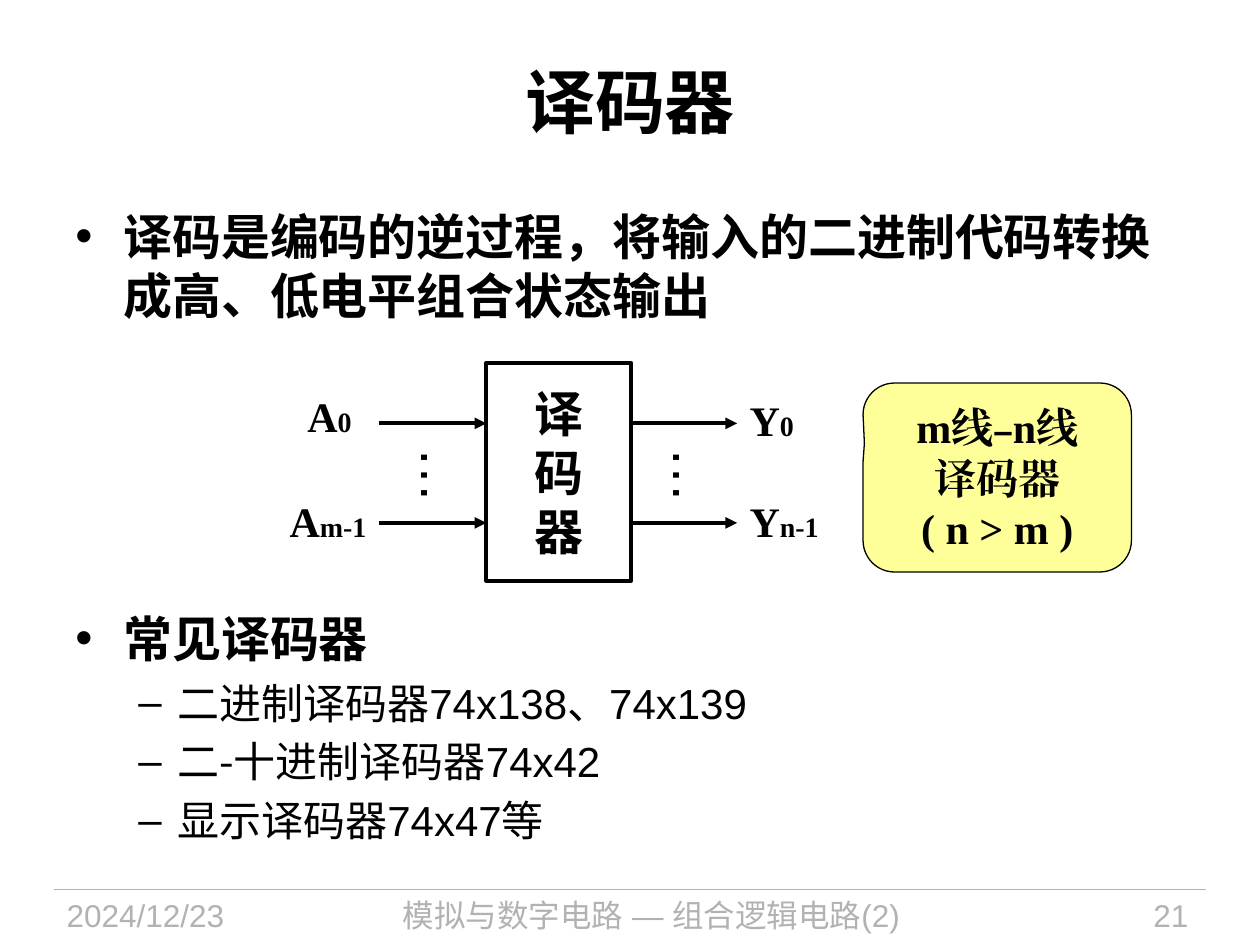
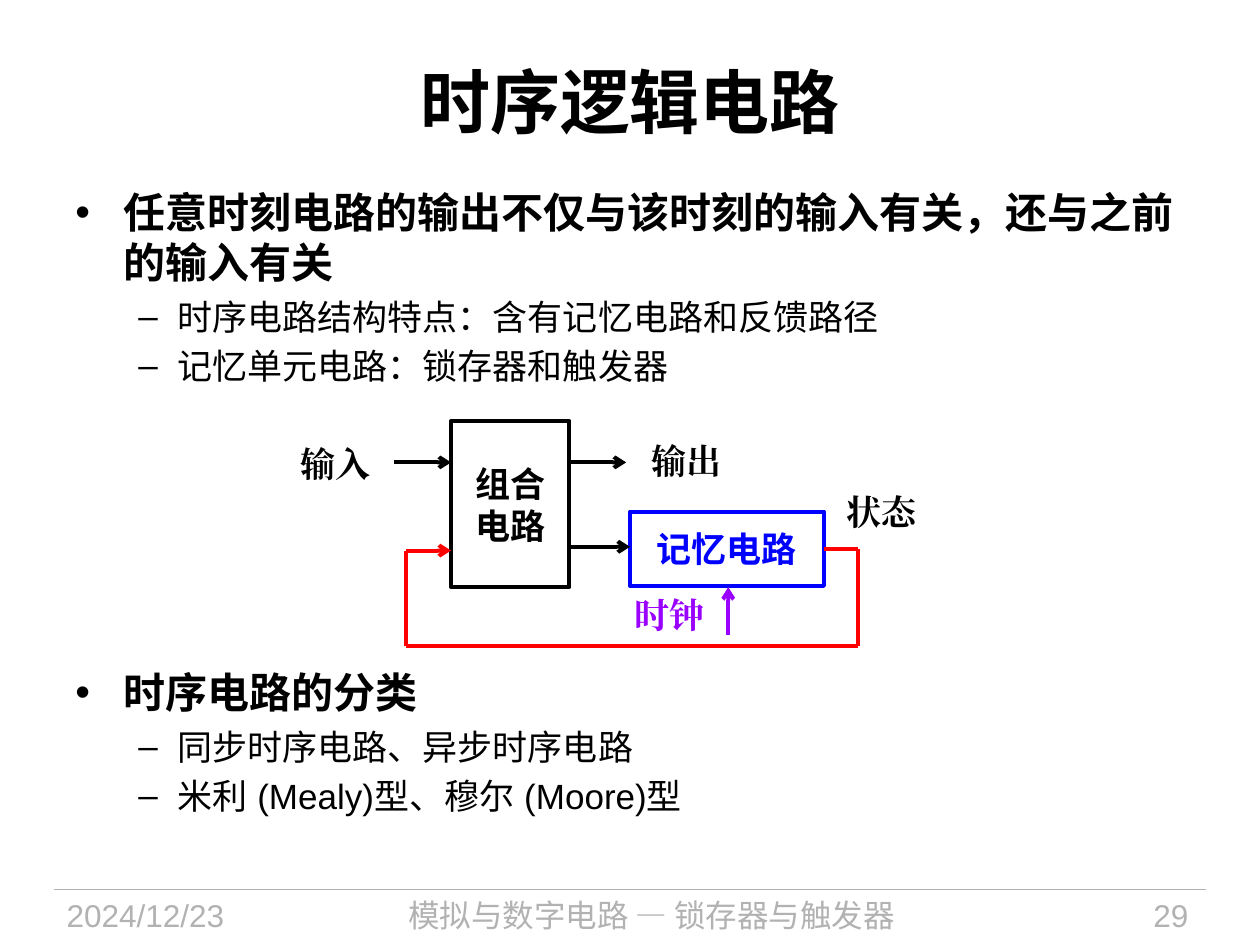
from dataclasses import dataclass
from itertools import pairwise
from typing import NamedTuple

from lxml.etree import SubElement
from pptx import Presentation
from pptx.dml.color import RGBColor
from pptx.enum.shapes import MSO_CONNECTOR, MSO_SHAPE
from pptx.enum.text import MSO_ANCHOR, PP_ALIGN
from pptx.oxml.ns import qn
from pptx.util import Emu, Pt

# Shared measures, colours and fonts
EMU_PER_PX = 9144  # 100 px to the inch
BLACK, GREY, YELLOW = "000000", "B2B2B2", "FFFF99"
BLUE, RED, PURPLE = "0000FF", "FF0000", "9900FF"
SANS, SERIF = "Arial", "Times New Roman"
CJK, CJK_KR = "Noto Sans CJK SC", "Noto Sans CJK KR"
LEFT, CENTER, RIGHT = PP_ALIGN.LEFT, PP_ALIGN.CENTER, PP_ALIGN.RIGHT
TOP, MIDDLE = MSO_ANCHOR.TOP, MSO_ANCHOR.MIDDLE
DATE = "2024/12/23"


class Box(NamedTuple):
    left: int
    top: int
    width: int
    height: int


class Run(NamedTuple):
    text: str
    size: int | None = None
    font: str | None = None


class Bullet(NamedTuple):
    mark: str
    margin: int
    hang: int
    bold: bool


BULLETS = (Bullet("•", 38, 38, True), Bullet("–", 81, 31, False))


@dataclass
class Section:
    """A bold heading with its sub-items, each a list of runs."""
    top: int
    size: int
    heading: str
    items: list


@dataclass
class Arrow:
    start: tuple
    end: tuple
    color: str = BLACK


@dataclass
class Label:
    box: Box
    runs: list
    color: str = BLACK


def px(length: int) -> Emu:
    return Emu(length * EMU_PER_PX)


def rgb(color: str) -> RGBColor:
    return RGBColor.from_string(color)


# Text
def write_text(shape, paragraphs: list, *, size: int, font=SANS, color=BLACK,
               bold=False, align=LEFT, anchor=TOP, insets=(10, 5), wrap=True,
               bullets=None, direction=None) -> None:
    frame = shape.text_frame
    frame.word_wrap = wrap
    frame.vertical_anchor = anchor
    frame.margin_left = frame.margin_right = px(insets[0])
    frame.margin_top = frame.margin_bottom = px(insets[1])
    if direction:
        frame._txBody.bodyPr.set("vert", direction)
    for index, runs in enumerate(paragraphs):
        para = frame.paragraphs[0] if index == 0 else frame.add_paragraph()
        para.alignment = align
        bullet = bullets[index] if bullets else None
        if bullet:
            add_bullet(para, bullet)
        for piece in [Run(runs)] if isinstance(runs, str) else runs:
            span = para.add_run()
            span.text = piece.text
            span.font.size = Pt(piece.size or size)
            span.font.bold = bullet.bold if bullet else bold
            span.font.color.rgb = rgb(color)
            span.font.name = piece.font or font
            properties = span.font._element
            properties.set("lang", "zh-CN")
            properties.find(qn("a:latin")).addnext(
                properties.makeelement(qn("a:ea"), typeface=piece.font or font))


def add_bullet(para, bullet: Bullet) -> None:
    properties = para._p.get_or_add_pPr()
    properties.set("marL", str(px(bullet.margin)))
    properties.set("indent", str(-px(bullet.hang)))
    SubElement(properties, qn("a:buFont"), typeface=SANS)
    SubElement(properties, qn("a:buChar"), char=bullet.mark)


def add_text(page, box: Box, paragraphs: list, **style) -> None:
    write_text(page.shapes.add_textbox(*map(px, box)), paragraphs, **style)


def add_section(page, section: Section) -> None:
    small = section.size - 4
    items = [[Run(*run) for run in item] for item in section.items]
    rows = [[Run(section.heading, section.size)], *items]
    levels = [BULLETS[0]] + [BULLETS[1]] * len(items)
    shape = page.shapes.add_textbox(*map(px, Box(50, section.top, 900, 60 + 45 * len(items))))
    write_text(shape, rows, size=small, bullets=levels)
    for para in shape.text_frame.paragraphs:
        para.space_after = Pt(round(0.2 * para.runs[0].font.size.pt, 1))


# Shapes and lines
def add_block(page, box: Box, paragraphs: list, *, kind=MSO_SHAPE.RECTANGLE, fill=None,
              line=BLACK, weight=2.25, adjustments=(), **style) -> None:
    shape = page.shapes.add_shape(kind, *map(px, box))
    shape.shadow.inherit = False
    for index, value in enumerate(adjustments):
        shape.adjustments[index] = value
    if fill:
        shape.fill.solid()
        shape.fill.fore_color.rgb = rgb(fill)
    else:
        shape.fill.background()
    shape.line.color.rgb = rgb(line)
    shape.line.width = Pt(weight)
    write_text(shape, paragraphs, bold=True, align=CENTER, anchor=MIDDLE, wrap=False, **style)


def add_line(page, start: tuple, end: tuple, *, color=BLACK, weight=2.25, head=None) -> None:
    line = page.shapes.add_connector(MSO_CONNECTOR.STRAIGHT, *map(px, start + end))
    line.line.color.rgb = rgb(color)
    line.line.width = Pt(weight)
    if head:
        SubElement(line.line._get_or_add_ln(), qn("a:tailEnd"), type=head)
    SubElement(line._element.spPr, qn("a:effectLst"))


# Frame shared by all pages
def add_page(deck, title: str, footer: str, number: int, footer_font=SANS):
    page = deck.slides.add_slide(deck.slide_layouts[6])
    add_line(page, (43, 706), (957, 706), color=GREY, weight=0.75)
    for box, text, align, font in (
        (Box(43, 706, 188, 44), DATE, LEFT, SANS),
        (Box(249, 706, 536, 44), footer, CENTER, footer_font),
        (Box(820, 706, 133, 44), str(number), RIGHT, SANS),
    ):
        add_text(page, box, [text], size=18, font=font, color=GREY, align=align)
    add_text(page, Box(50, 17, 900, 125), [title], size=40, bold=True,
             align=CENTER, anchor=MIDDLE)
    return page


def build_decoder_page(deck) -> None:
    page = add_page(deck, "译码器", "模拟与数字电路 — 组合逻辑电路(2)", 21)
    add_section(page, Section(159, 28, "译码是编码的逆过程，将输入的二进制代码转换成高、低电平组合状态输出", []))
    add_section(page, Section(478, 28, "常见译码器", [
        [("二进制译码器74x138、74x139",)],
        [("二",), ("-", None, CJK_KR), ("十进制译码器74x42",)],
        [("显示译码器74x47等",)],
    ]))

    # Decoder with its inputs and outputs
    add_block(page, Box(386, 288, 115, 173), list("译码器"), size=28, insets=(10, 0))
    for y in (336, 415):
        add_line(page, (301, y), (386, y), head="triangle")
        add_line(page, (501, y), (585, y), head="triangle")
    for left in (326, 526):
        add_text(page, Box(left, 355, 53, 44), ["…"], size=32, align=CENTER,
                 insets=(0, 0), wrap=False, direction="eaVert")
    for label in (
        Label(Box(234, 305, 55, 50), [Run("A"), Run("0", 16)]),
        Label(Box(220, 388, 81, 50), [Run("A"), Run("m-1", 16)]),
        Label(Box(585, 308, 55, 50), [Run("Y"), Run("0", 16)]),
        Label(Box(585, 388, 75, 50), [Run("Y"), Run("n-1", 16)]),
    ):
        add_text(page, label.box, [label.runs], size=24, font=SERIF, bold=True, wrap=False)

    # Note on line counts
    add_block(page, Box(685, 304, 213, 150),
              [[Run("m线"), Run("–", 20, SANS), Run("n线")], "译码器", "( n > m )"],
              kind=MSO_SHAPE.ROUNDED_RECTANGULAR_CALLOUT, fill=YELLOW, weight=0.75,
              adjustments=(-0.495, -0.181, 0.167), size=24, font=SERIF)


def build_sequential_page(deck) -> None:
    page = add_page(deck, "时序逻辑电路", "模拟与数字电路 — 锁存器与触发器", 29, CJK)
    add_section(page, Section(143, 24, "任意时刻电路的输出不仅与该时刻的输入有关，还与之前的输入有关", [
        [("时序电路结构特点：含有记忆电路和反馈路径",)],
        [("记忆单元电路：锁存器和触发器",)],
    ]))
    add_section(page, Section(524, 24, "时序电路的分类", [
        [("同步时序电路、异步时序电路",)],
        [("米利 (Mealy)型、穆尔 (Moore)型",)],
    ]))

    # Circuit blocks
    add_block(page, Box(500, 406, 154, 59), ["记忆电路"], size=20, color=BLUE,
              line=BLUE, insets=(0, 0))
    add_block(page, Box(358, 334, 94, 132), ["组合", "电路"], size=20, insets=(0, 0))

    # Signals and the feedback loop
    for arrow in (
        Arrow((313, 367), (358, 367)),
        Arrow((452, 367), (497, 367)),
        Arrow((452, 434), (500, 434)),
        Arrow((578, 504), (578, 466), PURPLE),
    ):
        add_line(page, arrow.start, arrow.end, color=arrow.color, head="arrow")
    feedback = [(654, 436), (681, 436), (681, 513), (322, 513), (322, 437), (358, 437)]
    for start, end in pairwise(feedback):
        add_line(page, start, end, color=RED, head="arrow" if end == feedback[-1] else None)
    for label in (
        Label(Box(217, 354, 99, 27), ["输入"]),
        Label(Box(497, 352, 96, 27), ["输出"]),
        Label(Box(652, 389, 96, 34), ["状态"]),
        Label(Box(491, 474, 81, 27), ["时钟"], PURPLE),
    ):
        add_text(page, label.box, label.runs, size=20, font=SERIF, color=label.color,
                 bold=True, align=CENTER, anchor=MIDDLE, insets=(0, 0))


def main() -> None:
    deck = Presentation()
    deck.slide_width, deck.slide_height = px(1000), px(750)
    build_decoder_page(deck)
    build_sequential_page(deck)
    deck.save("out.pptx")


if __name__ == "__main__":
    main()
